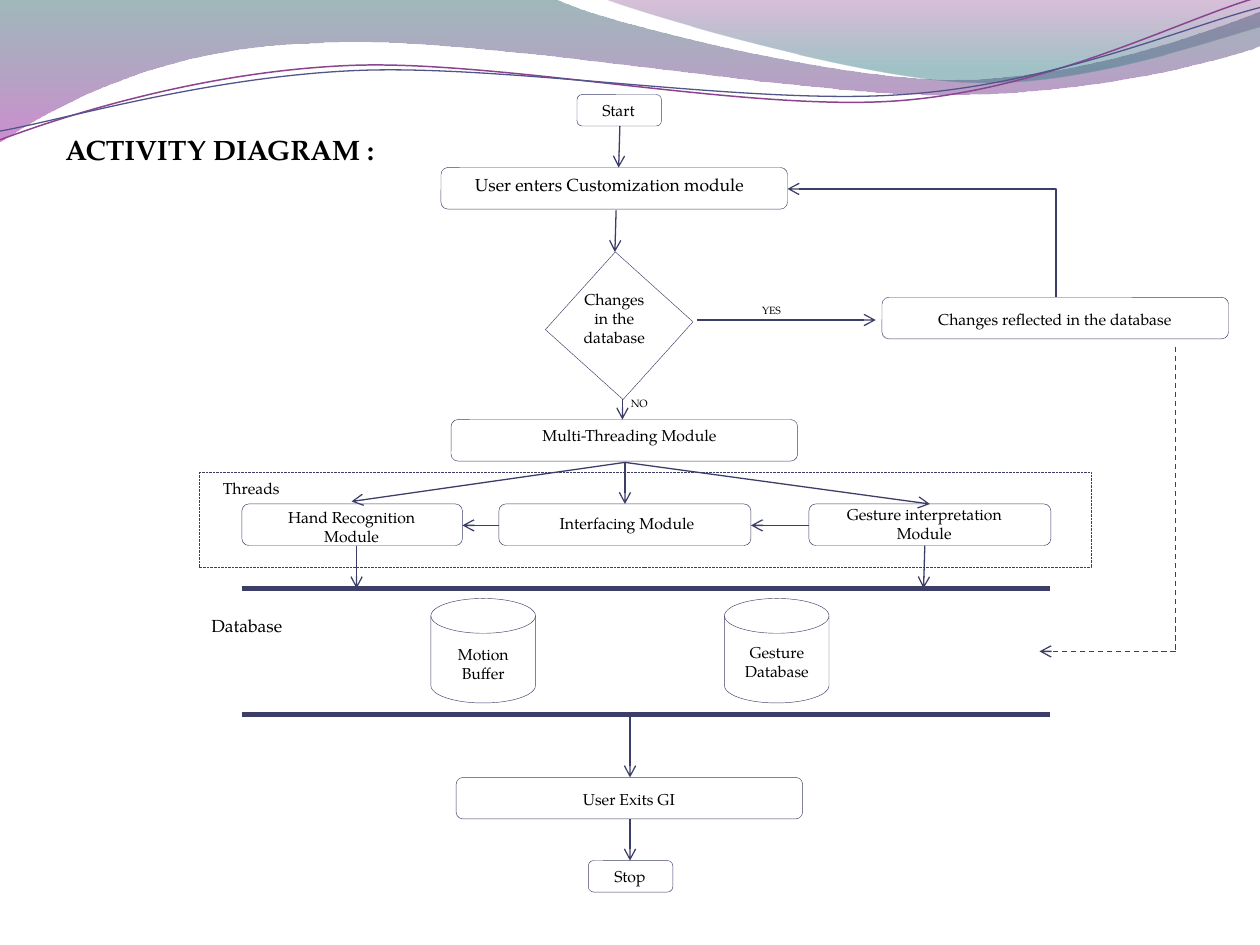
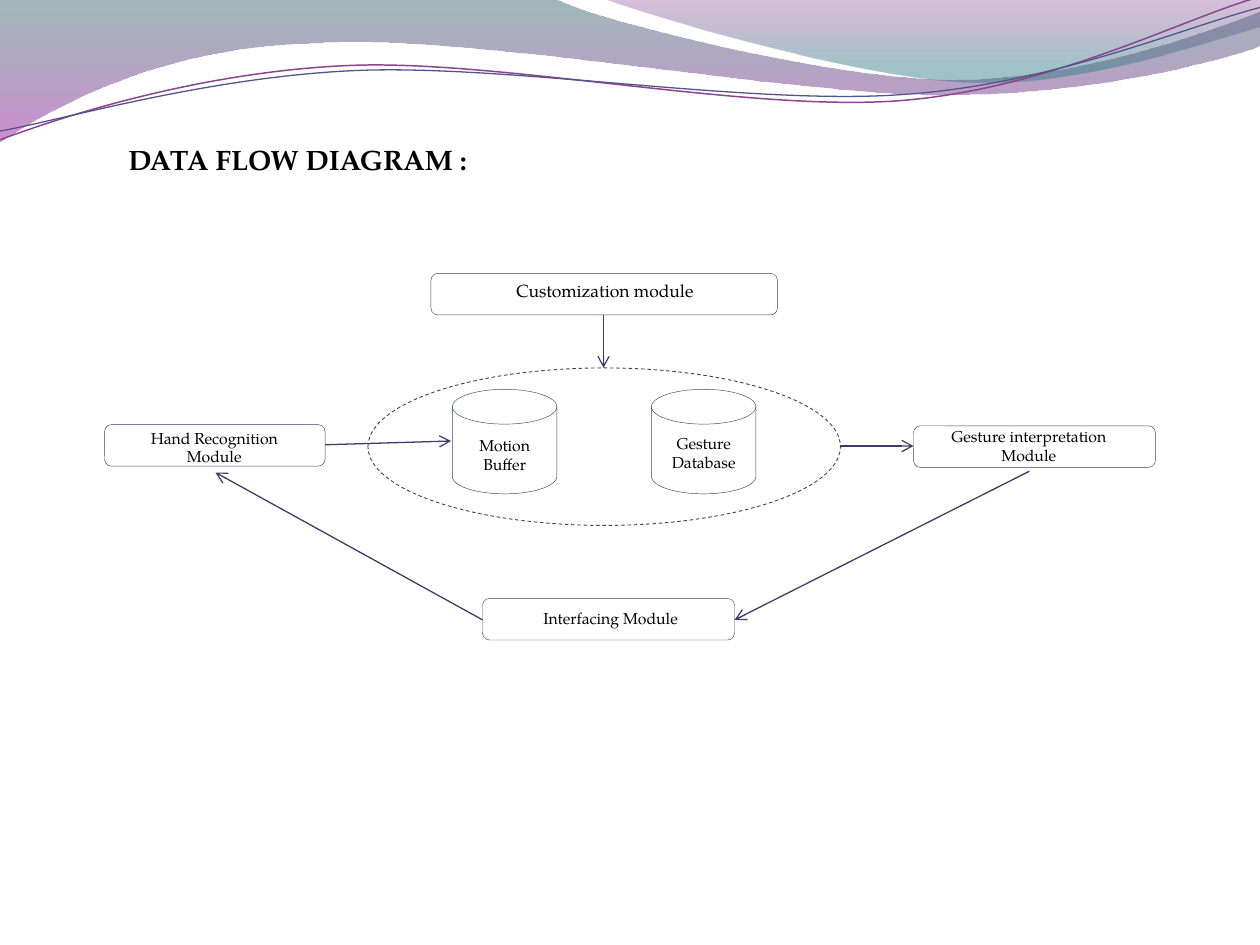
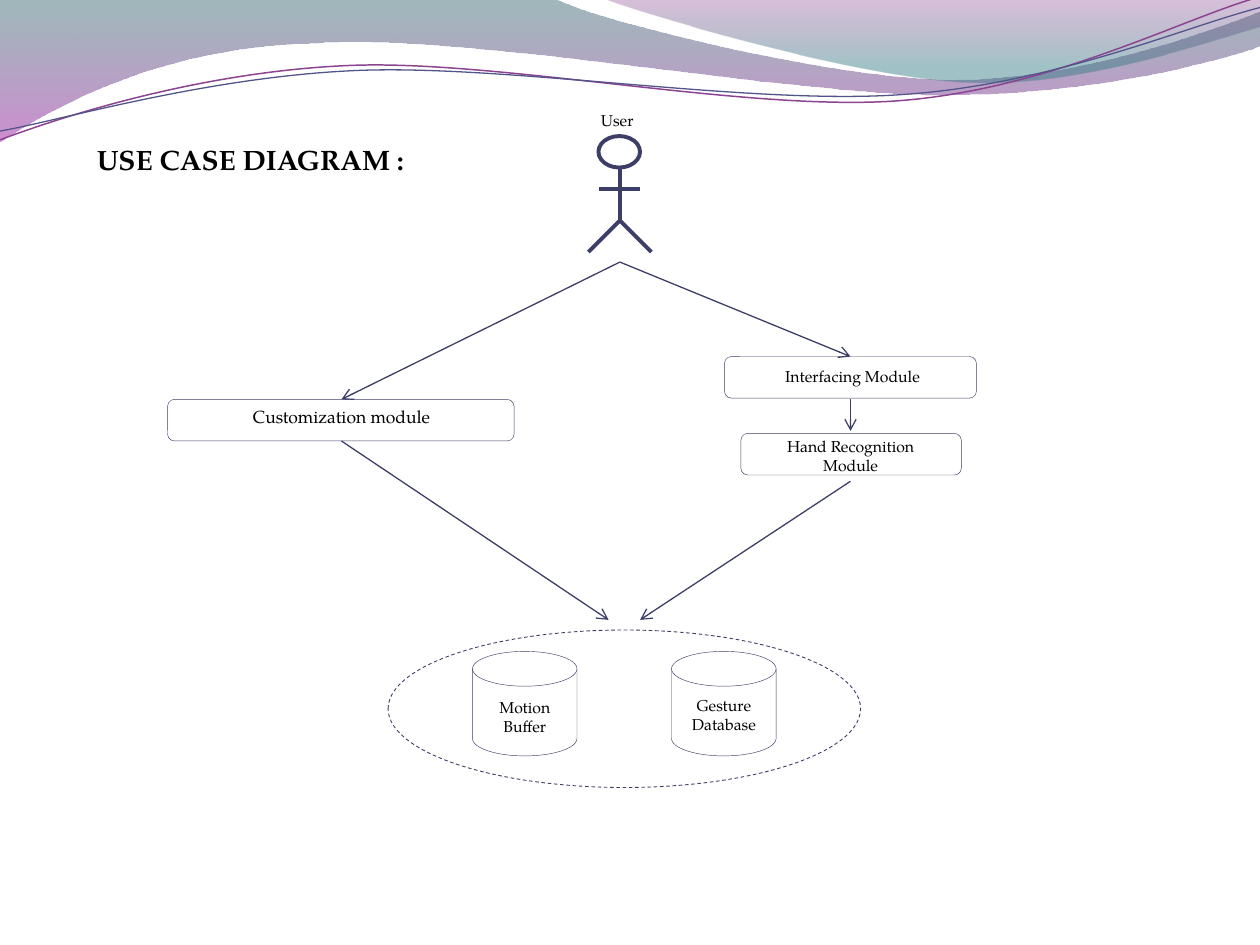
import math
from dataclasses import dataclass

from lxml import etree
from pptx import Presentation
from pptx import util as u
from pptx.dml.color import RGBColor
from pptx.enum import dml, shapes, text
from pptx.oxml.ns import qn


@dataclass(frozen=True)
class Theme:
    font: str = "TeX Gyre Pagella"
    ink: str = "000000"
    outline: str = "3D3E66"
    connector: str = "3D3E67"
    wave_purple: str = "8D4490"
    wave_blue: str = "53548A"
    left_band: tuple = ((0, "2D6368", 45), (100, "A530A9", 55))
    right_band: tuple = ((0, "7F2F82", 30), (80, "2F7B82", 45))
    title: float = 16
    large: float = 10
    body: float = 9
    small: float = 6
    hairline: float = 0.25
    arrow: float = 0.75
    figure: float = 2.25
    bar: float = 3


THEME = Theme()
MODULE_HEIGHT = 0.33
STORE_SIZE = 0.83
WAVE_TILT = -2.7

LEFT_BAND = [(0, 0), (4.4, -0.01),
             [(4.76, 0.17), (6.64, 0.63), (7.58, 0.63)],
             [(8.53, 0.63), (9.58, 0.26), (10, 0.09)], (10.01, 0.36),
             [(9.83, 0.44), (8.7, 0.76), (7.46, 0.75)],
             [(6.22, 0.75), (3.82, 0.28), (2.57, 0.34)],
             [(1.29, 0.36), (0.46, 0.83), (-0.01, 1.13)], (0, 0)]
RIGHT_BAND = [(4.79, -0.01),
              [(5.09, 0.11), (6.82, 0.62), (7.69, 0.65)],
              [(8.56, 0.69), (9.61, 0.32), (10, 0.21)], (10, 0), (4.79, -0.01)]
PURPLE_WAVE = [(0, 1.11),
               [(0.48, 0.93), (1.58, 0.57), (2.77, 0.52)],
               [(3.95, 0.47), (5.93, 0.89), (7.13, 0.8)],
               [(8.33, 0.71), (9.38, 0.15), (9.98, -0.02)]]
BLUE_WAVE = [(0, 1.04),
             [(0.47, 0.96), (1.64, 0.61), (2.83, 0.56)],
             [(4.03, 0.51), (5.97, 0.84), (7.17, 0.75)],
             [(8.36, 0.67), (9.41, 0.21), (10, 0.06)]]


@dataclass(frozen=True)
class ModuleStyle:
    width: float
    caption_dx: float
    caption_dy: float
    caption_width: float
    size: float = THEME.body


CUSTOMIZATION = ModuleStyle(2.75, 0.17, 0, 2.42, THEME.large)
WIDE = ModuleStyle(2.75, 0.08, 0.05, 2.58)
TERMINAL = ModuleStyle(0.67, 0.08, 0, 0.5)
MODULES = {
    "Customization module": CUSTOMIZATION,
    "User enters Customization module": CUSTOMIZATION,
    "Changes reflected in the database": WIDE,
    "User Exits GI": WIDE,
    "Multi-Threading Module": ModuleStyle(2.75, 0.25, 0, 2.33),
    "Hand Recognition Module": ModuleStyle(1.75, 0.08, -0.02, 1.58),
    "Interfacing Module": ModuleStyle(2, 0.24, 0.03, 1.55),
    "Gesture interpretation Module": ModuleStyle(1.92, 0, -0.04, 1.83),
    "Start": TERMINAL,
    "Stop": TERMINAL,
}


def bezier(controls, t):
    weights = ((1 - t) ** 3, 3 * t * (1 - t) ** 2, 3 * t * t * (1 - t), t ** 3)
    return tuple(sum(w * c[axis] for w, c in zip(weights, controls)) for axis in (0, 1))


def flatten(outline, steps=24):
    points = [outline[0]]
    for part in outline[1:]:
        if isinstance(part, tuple):
            points.append(part)
        else:
            controls = [points[-1], *part]
            points += [bezier(controls, step / steps) for step in range(1, steps + 1)]
    return points


def rotate(outline, center, degrees):
    cosine, sine = math.cos(math.radians(degrees)), math.sin(math.radians(degrees))

    def turn(point):
        x, y = point[0] - center[0], point[1] - center[1]
        return center[0] + x * cosine - y * sine, center[1] + x * sine + y * cosine

    return [turn(part) if isinstance(part, tuple) else [turn(point) for point in part]
            for part in outline]


class Deck:
    def __init__(self, theme):
        self.theme = theme
        self.presentation = Presentation()
        self.presentation.slide_width = u.Inches(10)
        self.presentation.slide_height = u.Inches(7.5)
        self.slide = None

    def new_slide(self, title, left, top, width):
        layout = self.presentation.slide_layouts[6]
        self.slide = self.presentation.slides.add_slide(layout)
        self.band(LEFT_BAND, self.theme.left_band)
        self.band(RIGHT_BAND, self.theme.right_band)
        self.wave(PURPLE_WAVE, (4.99, 0.58), self.theme.wave_purple, 0.85)
        self.wave(BLUE_WAVE, (5, 0.59), self.theme.wave_blue, 0.75)
        self.caption(title, left, top, width, 0.37, self.theme.title, bold=True)

    def freeform(self, outline, close):
        points = [(u.Inches(x), u.Inches(y)) for x, y in flatten(outline)]
        builder = self.slide.shapes.build_freeform(*points[0], scale=1.0)
        builder.add_line_segments(points[1:], close=close)
        shape = builder.convert_to_shape()
        shape.shadow.inherit = False
        self.curve(shape, outline, close)
        return shape

    def curve(self, shape, outline, close):
        geometry = next(shape._element.spPr.iter(qn("a:path")))
        for child in list(geometry):
            geometry.remove(child)
        for index, part in enumerate(outline):
            straight = "a:lnTo" if index else "a:moveTo"
            is_point = isinstance(part, tuple)
            segment = etree.SubElement(geometry, qn(straight if is_point else "a:cubicBezTo"))
            for x, y in [part] if is_point else part:
                etree.SubElement(segment, qn("a:pt"), x=str(u.Inches(x) - shape.left),
                                 y=str(u.Inches(y) - shape.top))
        if close:
            etree.SubElement(geometry, qn("a:close"))

    def band(self, outline, stops):
        shape = self.freeform(outline, True)
        shape.line.fill.background()
        shape.fill.gradient()
        gradient = shape._element.spPr.find(qn("a:gradFill"))
        for child in list(gradient):
            gradient.remove(child)
        stop_list = etree.SubElement(gradient, qn("a:gsLst"))
        for position, color, opacity in stops:
            stop = etree.SubElement(stop_list, qn("a:gs"), pos=str(position * 1000))
            rgb = etree.SubElement(stop, qn("a:srgbClr"), val=color)
            etree.SubElement(rgb, qn("a:alpha"), val=str(opacity * 1000))
        etree.SubElement(gradient, qn("a:lin"), ang="5400000", scaled="0")

    def wave(self, outline, center, color, weight):
        shape = self.freeform(rotate(outline, center, -WAVE_TILT), False)
        shape.rotation = WAVE_TILT
        shape.fill.background()
        self.stroke(shape, color, weight)

    def stroke(self, shape, color, weight, dashed=False):
        shape.line.color.rgb = RGBColor.from_string(color)
        shape.line.width = u.Pt(weight)
        if dashed:
            shape.line.dash_style = dml.MSO_LINE.DASH

    def outline(self, kind, left, top, width, height, weight=THEME.hairline, dashed=False):
        shape = self.slide.shapes.add_shape(
            kind, u.Inches(left), u.Inches(top), u.Inches(width), u.Inches(height))
        shape.shadow.inherit = False
        shape.fill.background()
        self.stroke(shape, self.theme.outline, weight, dashed)
        return shape

    def caption(self, words, left, top, width, height, size=THEME.body,
                centered=False, bold=False):
        box = self.slide.shapes.add_textbox(
            u.Inches(left), u.Inches(top), u.Inches(width), u.Inches(height))
        frame = box.text_frame
        frame.text = words
        frame.word_wrap = True
        frame.auto_size = text.MSO_AUTO_SIZE.SHAPE_TO_FIT_TEXT
        paragraph = frame.paragraphs[0]
        paragraph.alignment = text.PP_ALIGN.CENTER if centered else text.PP_ALIGN.LEFT
        font = paragraph.runs[0].font
        font.name = self.theme.font
        font.size = u.Pt(size)
        font.bold = bold
        font.color.rgb = RGBColor.from_string(self.theme.ink)

    def module(self, label, left, top, height=MODULE_HEIGHT, centered=True):
        style = MODULES[label]
        self.outline(shapes.MSO_SHAPE.ROUNDED_RECTANGLE, left, top, style.width, height)
        caption_height = 0.4 if style.caption_dy < 0 else 0.25
        self.caption(label, left + style.caption_dx, top + style.caption_dy,
                     style.caption_width, caption_height, style.size, centered)

    def store(self, label, left, top, caption_dy):
        self.outline(shapes.MSO_SHAPE.FLOWCHART_MAGNETIC_DISK,
                     left, top, STORE_SIZE, STORE_SIZE)
        self.caption(label, left + 0.04, top + caption_dy, 0.75, 0.4, centered=True)

    def stores(self, left, top, gap):
        self.store("Motion Buffer", left, top, 0.32)
        self.store("Gesture Database", left + STORE_SIZE + gap, top, 0.3)

    def store_group(self, left, top):
        self.outline(shapes.MSO_SHAPE.OVAL, left, top, 3.75, 1.25, 0.5, True)
        self.stores(left + 0.67, top + 0.17, 0.75)

    def decision(self, label, left, top):
        shape = self.outline(shapes.MSO_SHAPE.RECTANGLE, left, top, STORE_SIZE, STORE_SIZE)
        shape.rotation = 312
        self.caption(label, left, top + 0.08, 0.75, 0.56, centered=True)

    def line(self, start, end, weight=THEME.arrow, dashed=False, arrow=False,
             kind=shapes.MSO_CONNECTOR.STRAIGHT):
        connector = self.slide.shapes.add_connector(
            kind, *(u.Inches(value) for value in (*start, *end)))
        self.stroke(connector, self.theme.connector, weight, dashed)
        if arrow:
            etree.SubElement(connector.line._get_or_add_ln(), qn("a:tailEnd"), type="arrow")
        etree.SubElement(connector._element.spPr, qn("a:effectLst"))
        return connector

    def arrow(self, start, end, dashed=False):
        self.line(start, end, dashed=dashed, arrow=True)

    def elbow_up_left(self, start, end):
        center_x, center_y = (start[0] + end[0]) / 2, (start[1] + end[1]) / 2
        half_x, half_y = (start[0] - end[0]) / 2, (start[1] - end[1]) / 2
        connector = self.line((center_x - half_y, center_y + half_x),
                              (center_x + half_y, center_y - half_x),
                              arrow=True, kind=shapes.MSO_CONNECTOR.ELBOW)
        properties = connector._element.spPr
        properties.find(qn("a:xfrm")).set("rot", "16200000")
        properties.find(qn("a:prstGeom")).set("prst", "bentConnector2")

    def actor(self, label, center, top):
        neck, hip, foot = top + 0.25, top + 0.67, top + 0.92
        self.caption(label, center - 0.25, top - 0.25, 0.5, 0.25)
        self.outline(shapes.MSO_SHAPE.OVAL, center - 0.17, top, 0.33, 0.25, THEME.figure)
        for start, end in [((center, neck), (center, hip)),
                           ((center - 0.17, top + 0.42), (center + 0.16, top + 0.42)),
                           ((center, hip), (center - 0.25, foot)),
                           ((center, hip), (center + 0.25, foot))]:
            self.line(start, end, THEME.figure)


def activity_slide(deck):
    deck.new_slide("ACTIVITY DIAGRAM :", 0.42, 1, 2.92)
    deck.module("Start", 4.58, 0.75, 0.25)
    deck.module("User enters Customization module", 3.5, 1.33, centered=False)
    deck.decision("Changes in the database", 4.5, 2.17)
    deck.module("Changes reflected in the database", 7, 2.36)
    deck.module("Multi-Threading Module", 3.58, 3.33)
    deck.outline(shapes.MSO_SHAPE.RECTANGLE, 1.58, 3.75, 7.08, 0.75, 0.12, True)
    deck.module("Hand Recognition Module", 1.92, 4)
    deck.module("Interfacing Module", 3.96, 4)
    deck.module("Gesture interpretation Module", 6.42, 4)
    for top in (4.67, 5.67):
        deck.line((1.92, top), (8.33, top), THEME.bar)
    deck.stores(3.42, 4.75, 1.5)
    deck.module("User Exits GI", 3.62, 6.17)
    deck.module("Stop", 4.67, 6.83, 0.25)
    deck.caption("Threads", 1.67, 3.75, 0.67, 0.25)
    deck.caption("Database", 1.58, 4.83, 0.92, 0.27, THEME.large)
    deck.caption("YES", 5.95, 2.36, 0.67, 0.2, THEME.small)
    deck.caption("NO", 4.91, 3.1, 0.67, 0.2, THEME.small)
    for start, end in [((4.92, 1), (4.91, 1.33)), ((4.89, 1.67), (4.88, 2)),
                       ((5.53, 2.54), (6.95, 2.54)), ((4.94, 3.17), (4.94, 3.33)),
                       ((4.96, 3.67), (2.79, 3.98)), ((4.96, 3.67), (4.96, 4)),
                       ((4.96, 3.67), (7.38, 4)), ((6.42, 4.17), (5.96, 4.17)),
                       ((3.96, 4.17), (3.67, 4.17)), ((2.83, 4.33), (2.83, 4.67)),
                       ((7.34, 4.33), (7.33, 4.67)), ((5, 5.67), (5, 6.17)),
                       ((5, 6.5), (5, 6.83))]:
        deck.arrow(start, end)
    deck.elbow_up_left((8.38, 2.36), (6.25, 1.5))
    deck.line((9.33, 2.75), (9.33, 5.17), dashed=True)
    deck.arrow((9.33, 5.17), (8.25, 5.17), dashed=True)


def data_flow_slide(deck):
    deck.new_slide("DATA FLOW DIAGRAM :", 0.92, 1.08, 3.25)
    deck.module("Customization module", 3.42, 2.17)
    deck.store_group(2.92, 2.92)
    deck.module("Hand Recognition Module", 0.83, 3.37)
    deck.module("Gesture interpretation Module", 7.25, 3.38)
    deck.module("Interfacing Module", 3.83, 4.75)
    for start, end in [((4.79, 2.5), (4.79, 2.92)), ((2.58, 3.53), (3.58, 3.5)),
                       ((6.67, 3.54), (7.25, 3.54)), ((8.17, 3.74), (5.83, 4.92)),
                       ((3.83, 4.92), (1.71, 3.75))]:
        deck.arrow(start, end)


def use_case_slide(deck):
    deck.new_slide("USE CASE DIAGRAM :", 0.67, 1.08, 3)
    deck.actor("User", 4.92, 1.08)
    deck.module("Customization module", 1.33, 3.17)
    deck.module("Interfacing Module", 5.75, 2.83)
    deck.module("Hand Recognition Module", 5.88, 3.44)
    deck.store_group(3.08, 5)
    for start, end in [((4.92, 2.08), (2.71, 3.17)), ((4.92, 2.08), (6.75, 2.83)),
                       ((6.75, 3.17), (6.75, 3.42)), ((2.71, 3.5), (4.83, 4.92)),
                       ((6.75, 3.82), (5.08, 4.92))]:
        deck.arrow(start, end)


deck = Deck(THEME)
activity_slide(deck)
data_flow_slide(deck)
use_case_slide(deck)
deck.presentation.save("out.pptx")
